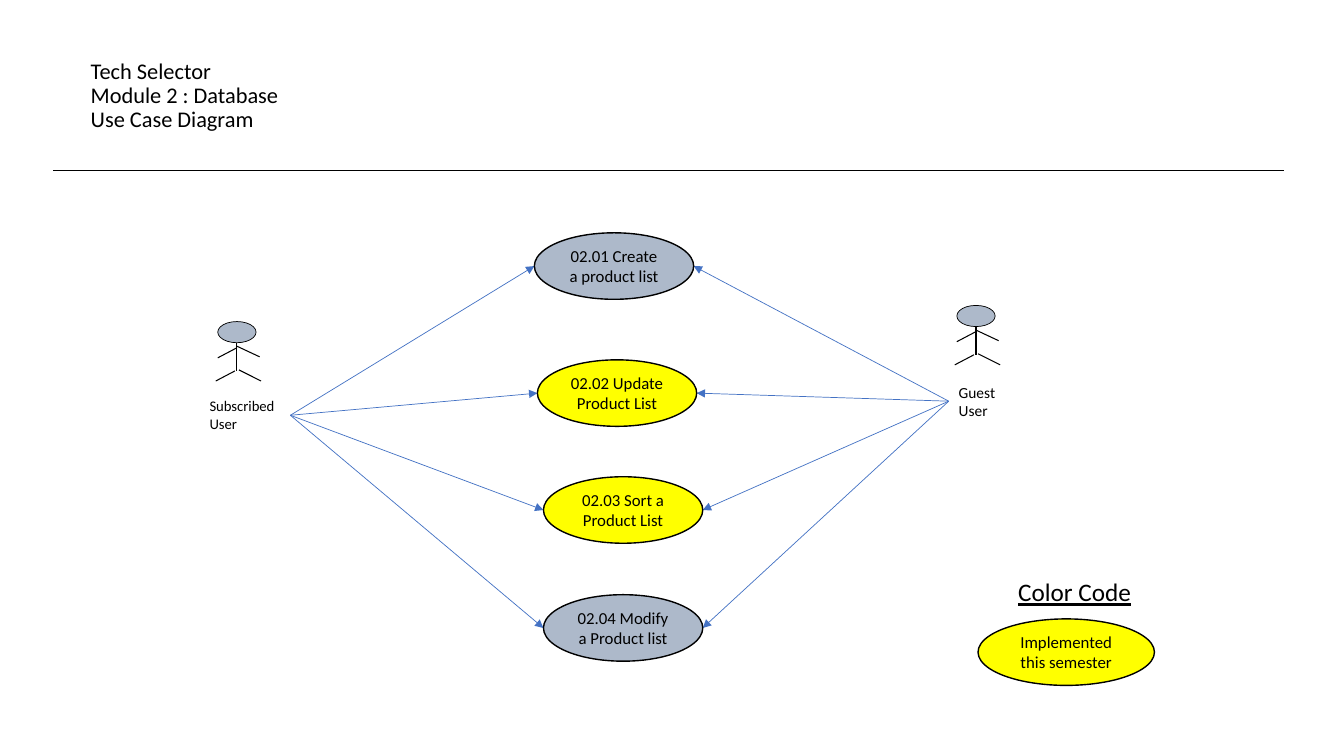
from lxml import etree
from pptx import Presentation
from pptx.dml.color import RGBColor
from pptx.enum.shapes import MSO_CONNECTOR, MSO_SHAPE
from pptx.enum.text import MSO_ANCHOR, MSO_AUTO_SIZE, PP_ALIGN
from pptx.oxml.ns import qn
from pptx.util import Inches, Pt

STRAIGHT, OVAL = MSO_CONNECTOR.STRAIGHT, MSO_SHAPE.OVAL
MIDDLE, TOP = MSO_ANCHOR.MIDDLE, MSO_ANCHOR.TOP
LEFT, CENTER = PP_ALIGN.LEFT, PP_ALIGN.CENTER
GROW, FIXED = MSO_AUTO_SIZE.SHAPE_TO_FIT_TEXT, MSO_AUTO_SIZE.NONE
BLACK, BLUE, PLANNED, DONE = "000000", "4472C4", "ADB9CA", "FFFF00"
TITLE_ONLY = 5
COLUMNS, ROWS = 133.3, 75  # grid cells of a tenth of an inch


def color(hex_code):
    """Turn a hex string into a colour."""
    return RGBColor.from_string(hex_code)


def cells(*counts):
    """Turn counts of grid cells into lengths."""
    return [Inches(count / 10) for count in counts]


def assign(target, values):
    """Set attributes from a dict of format values."""
    for name, value in values.items():
        setattr(target, name, value)


class Diagram:
    """Holds the style, the slide and the shapes being drawn into."""

    font = "Calibri"

    def __init__(self, presentation):
        """Start a slide that has only a title."""
        layout = presentation.slide_layouts[TITLE_ONLY]
        self.slide = presentation.slides.add_slide(layout)
        self.canvas = self.slide.shapes

    def put_text(self, holder, wording, size, frame=None, paragraph=None, run=None):
        """Put formatted wording into a shape."""
        text = holder.text_frame
        text.text = wording
        assign(text, {"word_wrap": True, **(frame or {})})
        for part in text.paragraphs:
            assign(part, paragraph or {})
            for piece in part.runs:
                assign(piece.font, {"name": self.font, "size": Pt(size), **(run or {})})
                piece.font.color.rgb = color(BLACK)

    def title(self, wording, box):
        """Place the title in its placeholder, raised above the box centre."""
        heading = self.slide.shapes.title
        assign(heading, dict(zip(("left", "top", "width", "height"), cells(*box))))
        frame = {"vertical_anchor": MIDDLE, "auto_size": FIXED,
                 "margin_bottom": Inches(0.38)}
        self.put_text(heading, wording, 16, frame,
                      {"line_spacing": 0.9, "alignment": LEFT})

    def label(self, wording, box, size, frame=None, run=None):
        """Add a text box."""
        caption = self.canvas.add_textbox(*cells(*box))
        self.put_text(caption, wording, size,
                      {"auto_size": GROW, "vertical_anchor": TOP, **(frame or {})},
                      run=run)

    def oval(self, box, fill, weight=1, wording=""):
        """Add an outlined ellipse, with wording if there is any."""
        bubble = self.canvas.add_shape(OVAL, *cells(*box))
        bubble.shadow.inherit = False
        bubble.fill.solid()
        bubble.fill.fore_color.rgb = color(fill)
        bubble.line.color.rgb = color(BLACK)
        bubble.line.width = Pt(weight)
        if wording:
            self.put_text(bubble, wording, 12, {"vertical_anchor": MIDDLE},
                          {"alignment": CENTER})

    def line(self, start, end, stroke=BLACK, weight=0.75, arrow=False):
        """Add a straight line, with an arrowhead at its end if asked."""
        link = self.canvas.add_connector(STRAIGHT, *cells(*start, *end))
        link.line.color.rgb = color(stroke)
        link.line.width = Pt(weight)
        properties = link.element.spPr
        if arrow:
            etree.SubElement(properties.find(qn("a:ln")), qn("a:tailEnd"), type="triangle")
        etree.SubElement(properties, qn("a:effectLst"))

    def actor(self, name, neck, label_box, size):
        """Add a stick figure with its name as one group."""
        self.canvas = self.slide.shapes.add_group_shape().shapes
        x, y = neck
        self.oval((x - 1.9, y - 2.1, 3.8, 2.1), PLANNED, 0.5)
        for x1, y1, x2, y2 in LIMBS:
            self.line((x + x1, y + y1), (x + x2, y + y2))
        self.label(name, label_box, size)
        self.canvas = self.slide.shapes


# Body, arms and legs, measured from the neck
LIMBS = [(0, 0, 0, 2.85), (0, 0.5, -1.9, 1.5), (0, 0.35, 2.25, 1.4),
         (-0.2, 2.8, -2.1, 3.8), (0.2, 2.7, 2.4, 3.8)]
# Name, neck, label box, text size, start of the arrows
ACTORS = [("Subscribed User", (23.5, 34), (19.8, 38.9, 9, 4.5), 10.5, (28.8, 41.2)),
          ("Guest User", (96.8, 32.4), (94.1, 37.5, 6.8, 4.7), 11, (94.1, 39.8))]
# Wording, left, top, fill
USE_CASES = [("02.01 Create a product list", 53, 23.1, PLANNED),
             ("02.02 Update Product List", 53.3, 35.7, DONE),
             ("02.03 Sort a Product List", 53.9, 47.3, DONE),
             ("02.04 Modify a Product list", 53.9, 59, PLANNED)]
CASE_WIDTH, CASE_HEIGHT = 15.8, 6.6

presentation = Presentation()
presentation.slide_width, presentation.slide_height = cells(COLUMNS, ROWS)
diagram = Diagram(presentation)

diagram.title("Tech Selector\vModule 2 : Database\vUse Case Diagram", (8, 8.3, 43.3, 5.8))
diagram.line((5.3, 16.9), (127.3, 16.9), weight=1)

for name, neck, label_box, size, _ in ACTORS:
    diagram.actor(name, neck, label_box, size)

for side, (*_, source) in enumerate(ACTORS):
    for _, left, top, _ in USE_CASES:
        target = (left + side * CASE_WIDTH, top + CASE_HEIGHT / 2)
        diagram.line(source, target, BLUE, 0.5, arrow=True)

for wording, left, top, fill in USE_CASES:
    diagram.oval((left, top, CASE_WIDTH, CASE_HEIGHT), fill, wording=wording)

diagram.oval((97, 61.4, 17.5, CASE_HEIGHT), DONE, wording="Implemented this semester")
diagram.label("Color Code", (100, 56.7, 13.6, 4), 18,
              {"word_wrap": False}, {"underline": True})

presentation.save("out.pptx")
